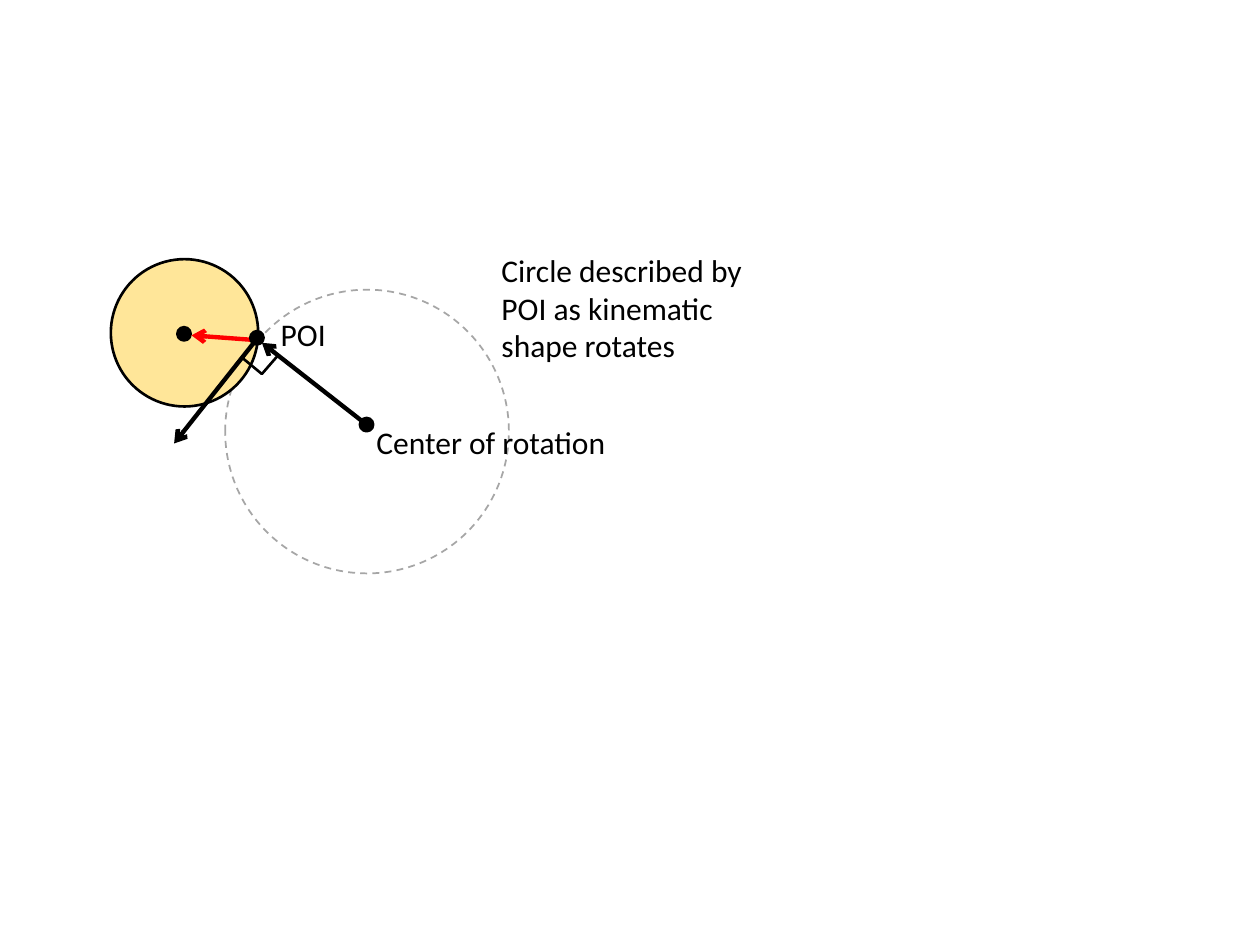
from pptx import Presentation
from pptx.dml.color import RGBColor
from pptx.enum.dml import MSO_LINE
from pptx.enum.shapes import MSO_CONNECTOR, MSO_SHAPE
from pptx.enum.text import MSO_AUTO_SIZE
from pptx.oxml.xmlchemy import OxmlElement as Element
from pptx.util import Cm, Pt

COLORS = {"ink": "000000", "orbit": "A6A6A6", "shape": "FFE699", "normal": "FF0000"}


class Diagram:
    """Draws on one slide; all lengths are in centimetres."""

    font_name = "Calibri"
    font_size = 18

    def __init__(self, slide):
        self.shapes = slide.shapes

    def color(self, key):
        return RGBColor.from_string(COLORS[key])

    def outline(self, line, color, width, dash=None):
        line.color.rgb = self.color(color)
        line.width = Pt(width)
        if dash:
            line.dash_style = dash

    def circle(self, center, diameter, fill=None, color="ink", width=2, dash=None):
        left, top = (Cm(c - diameter / 2) for c in center)
        circle = self.shapes.add_shape(
            MSO_SHAPE.OVAL, left, top, Cm(diameter), Cm(diameter))
        circle.shadow.inherit = False
        if fill:
            circle.fill.solid()
            circle.fill.fore_color.rgb = self.color(fill)
        else:
            circle.fill.background()
        self.outline(circle.line, color, width, dash)

    def dot(self, center):
        self.circle(center, 0.25, fill="ink")

    def arrow(self, start, tip, color="ink", oval_start=True):
        arrow = self.shapes.add_connector(
            MSO_CONNECTOR.STRAIGHT, *(Cm(c) for c in (*start, *tip)))
        self.outline(arrow.line, color, 2.5)
        ends = [("a:headEnd", "oval")] if oval_start else []
        for tag, kind in ends + [("a:tailEnd", "arrow")]:
            end = Element(tag)
            end.set("type", kind)
            arrow.line._get_or_add_ln().append(end)
        arrow._element.spPr.append(Element("a:effectLst"))

    def polyline(self, points, width):
        start, *rest = [(Cm(x), Cm(y)) for x, y in points]
        builder = self.shapes.build_freeform(*start)
        builder.add_line_segments(rest, close=False)
        polyline = builder.convert_to_shape()
        polyline.shadow.inherit = False
        polyline.fill.background()
        self.outline(polyline.line, "ink", width)

    def label(self, text, left, top, width, height, wrap=False):
        box = self.shapes.add_textbox(Cm(left), Cm(top), Cm(width), Cm(height))
        frame = box.text_frame
        frame.word_wrap = wrap
        frame.auto_size = MSO_AUTO_SIZE.SHAPE_TO_FIT_TEXT
        run = frame.paragraphs[0].add_run()
        run.text = text
        run.font.name = self.font_name
        run.font.size = Pt(self.font_size)
        run.font.color.rgb = self.color("ink")


def main():
    deck = Presentation()
    deck.slide_width, deck.slide_height = Cm(25.4), Cm(19.05)
    diagram = Diagram(deck.slides.add_slide(deck.slide_layouts[6]))

    shape_center = (3.71, 6.73)
    rotation_center = (7.39, 8.56)
    poi = (5.18, 6.81)

    # Path of the POI and the kinematic shape
    diagram.circle((7.4, 8.7), 5.72, color="orbit", width=1, dash=MSO_LINE.DASH)
    diagram.circle((3.72, 6.71), 2.97, fill="shape", width=1.5)
    diagram.dot(shape_center)

    # Radius and direction to the shape center
    diagram.arrow(rotation_center, (5.28, 6.91))
    diagram.arrow((5.21, 6.86), (3.86, 6.76), color="normal", oval_start=False)
    diagram.dot(rotation_center)
    diagram.label("POI", 5.41, 6.22, 1.57, 1.02)

    # Tangent at the POI
    diagram.arrow((5.18, 6.83), (3.51, 8.94))
    diagram.dot(poi)

    # Explanations
    diagram.label("Circle described by POI as kinematic shape rotates",
                  9.86, 4.93, 5.84, 2.57, wrap=True)
    diagram.label("Center of rotation", 7.34, 8.41, 5.36, 1.02)

    # Right angle mark
    diagram.polyline([(4.88, 7.21), (5.28, 7.54), (5.61, 7.16)], 1.5)

    deck.save("out.pptx")


if __name__ == "__main__":
    main()
